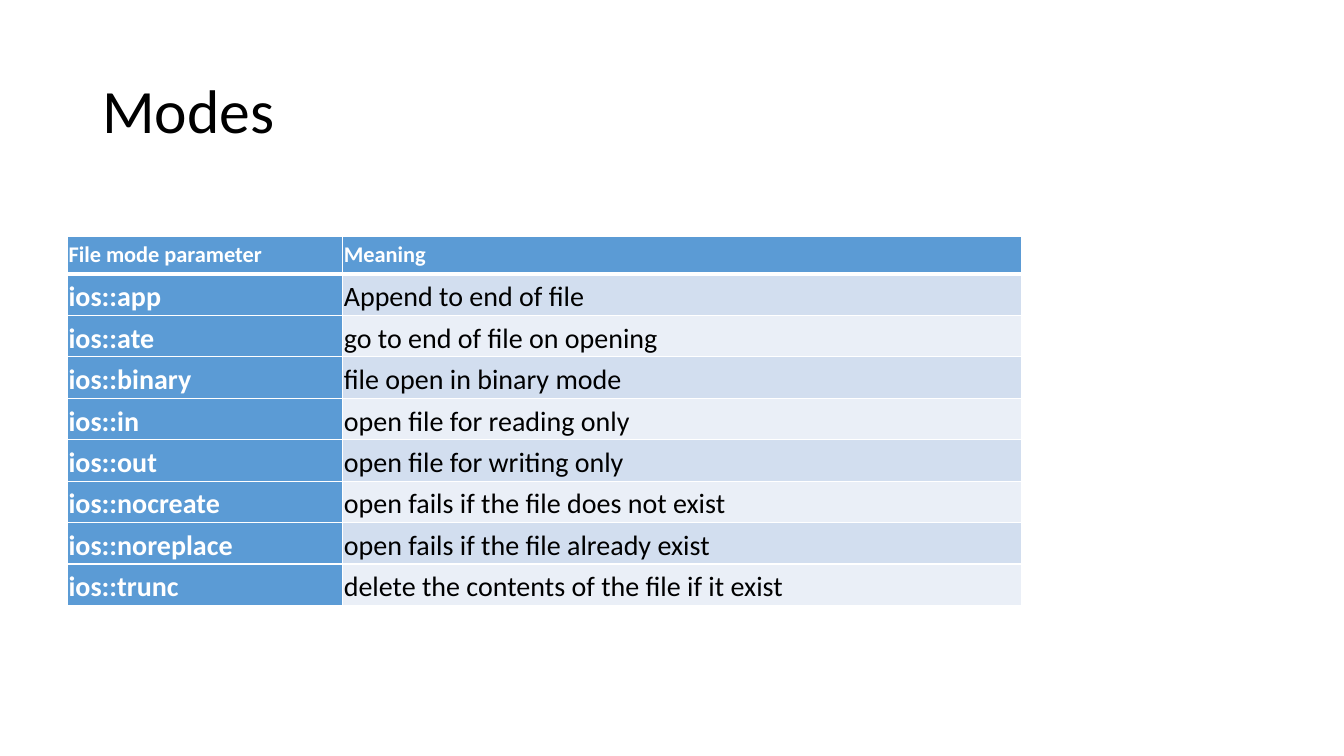
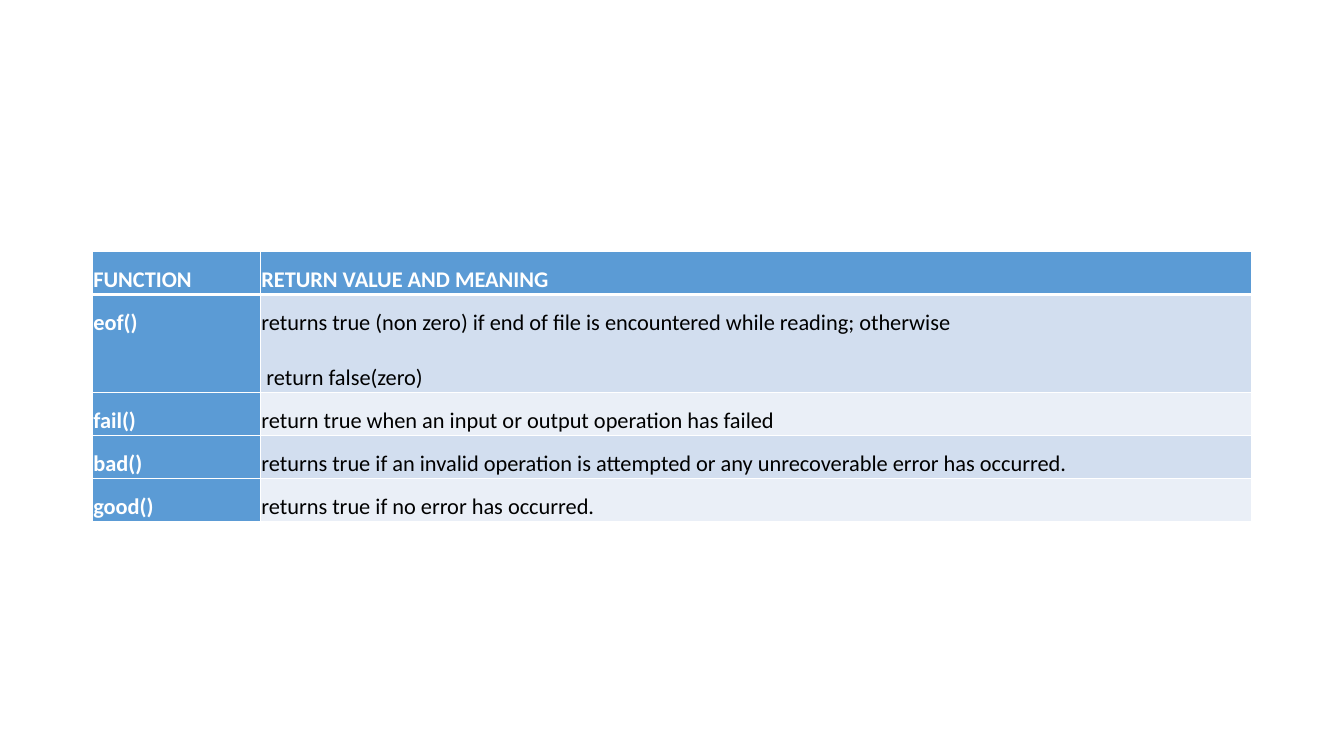
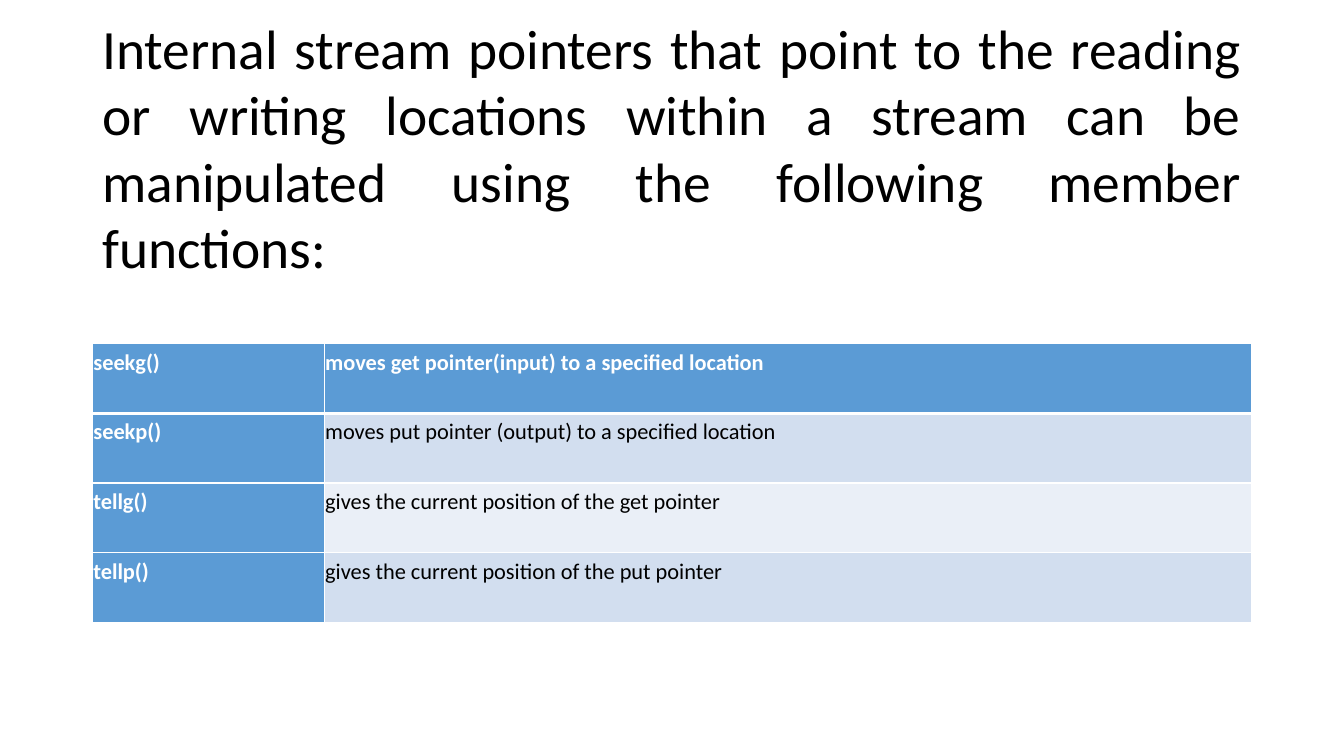
from lxml.etree import fromstring
from pptx import Presentation
from pptx.dml.color import RGBColor
from pptx.enum.text import MSO_ANCHOR, PP_ALIGN
from pptx.oxml.ns import nsdecls
from pptx.util import Pt

# Shared style
FONT = "Calibri"
WHITE, BLACK, BLUE = "FFFFFF", "000000", "5B9BD5"
BANDS = ["D2DEEF", "EAEFF7"]
CELL_INSET = Pt(0.72)
TITLE_PLACE = [Pt(v) for v in (66, 28.8, 828, 104.4)]


def color(hex_text):
    return RGBColor.from_string(hex_text)


def write(para, text, size, ink, bold=False, **layout):
    span = para.add_run()
    span.text = text
    span.font.color.rgb = color(ink)
    for name, value in {"name": FONT, "size": Pt(size), "bold": bold}.items():
        setattr(span.font, name, value)
    for name, value in layout.items():
        setattr(para, name, value)


# Slide content: a cell holds its paragraphs separated by line ends
slides = [
    {
        "title": "Modes", "title_size": 44, "title_inset": 3.6,
        "title_layout": {"line_spacing": 0.9},
        "left": 48.3, "top": 168.7, "columns": [196.6, 484.8],
        "heights": [27] + [29.6] * 8, "sizes": [16, 20], "spacing": 1.15,
        "rows": [
            ("File mode parameter", "Meaning"),
            ("ios::app", "Append to end of file"),
            ("ios::ate", "go to end of file on opening"),
            ("ios::binary", "file open in binary mode"),
            ("ios::in", "open file for reading only"),
            ("ios::out", "open file for writing only"),
            ("ios::nocreate", "open fails if the file does not exist"),
            ("ios::noreplace", "open fails if the file already exist"),
            ("ios::trunc", "delete the contents of the file if it exist"),
        ],
    },
    {
        "title": None,
        "left": 66, "top": 179.6, "columns": [120, 708],
        "heights": [30.8, 70, 30.8, 30.8, 30.8], "sizes": [16, 16], "spacing": 1.5,
        "rows": [
            ("FUNCTION", "RETURN VALUE AND MEANING"),
            ("eof()", "returns true (non zero) if end of file is encountered "
                      "while reading; otherwise\n return false(zero)"),
            ("fail()", "return true when an input or output operation has failed"),
            ("bad()", "returns true if an invalid operation is attempted or any "
                      "unrecoverable error has occurred."),
            ("good()", "returns true if no error has occurred."),
        ],
    },
    {
        "title": "Internal stream pointers that point to the reading or writing "
                 "locations within a stream can be manipulated using the "
                 "following member functions:",
        "title_size": 39.6, "title_inset": 51,
        "title_layout": {"alignment": PP_ALIGN.JUSTIFY, "line_spacing": Pt(47.5)},
        "left": 66, "top": 245.5, "columns": [165.6, 662.4],
        "heights": [49.8] * 4, "sizes": [16, 16], "spacing": 1.15,
        "rows": [
            ("seekg()", "moves get pointer(input) to a specified location"),
            ("seekp()", "moves put pointer (output) to a specified location"),
            ("tellg()", "gives the current position of the get pointer"),
            ("tellp()", "gives the current position of the put pointer"),
        ],
    },
]

deck = Presentation()
deck.slide_width, deck.slide_height = Pt(960), Pt(540)

for content in slides:
    page = deck.slides.add_slide(deck.slide_layouts[6])

    # Title
    if content["title"]:
        box = page.shapes.add_textbox(*TITLE_PLACE)
        frame = box.text_frame
        frame.word_wrap = True
        frame.vertical_anchor = MSO_ANCHOR.MIDDLE
        frame.margin_top = Pt(content["title_inset"])
        write(frame.paragraphs[0], content["title"], content["title_size"],
              BLACK, **content["title_layout"])

    # Table grid
    rows, columns, heights = content["rows"], content["columns"], content["heights"]
    table = page.shapes.add_table(
        len(rows), len(columns), Pt(content["left"]), Pt(content["top"]),
        Pt(sum(columns)), Pt(sum(heights))).table
    for column, width in zip(table.columns, columns):
        column.width = Pt(width)
    for row, height in zip(table.rows, heights):
        row.height = Pt(height)

    # Cells
    for r, row in enumerate(rows):
        for c, text in enumerate(row):
            cell = table.cell(r, c)
            heading = r == 0 or c == 0
            for side in ("left", "top", "right", "bottom"):
                setattr(cell, "margin_" + side, CELL_INSET)
            cell.fill.solid()
            cell.fill.fore_color.rgb = color(BLUE if heading else BANDS[(r - 1) % 2])
            for i, line in enumerate(text.split("\n")):
                frame = cell.text_frame
                para = frame.add_paragraph() if i else frame.paragraphs[0]
                write(para, line, content["sizes"][min(r, 1)],
                      WHITE if heading else BLACK, heading,
                      line_spacing=content["spacing"], space_after=Pt(10))

            # White borders, thicker below the header row
            borders = {"L": 1, "R": 1, "T": 3 if r == 1 else 1, "B": 3 if r == 0 else 1}
            for i, (side, width) in enumerate(borders.items()):
                cell._tc.get_or_add_tcPr().insert(i, fromstring(
                    f'<a:ln{side} {nsdecls("a")} w="{Pt(width)}"><a:solidFill>'
                    f'<a:srgbClr val="{WHITE}"/></a:solidFill></a:ln{side}>'))

deck.save("out.pptx")
